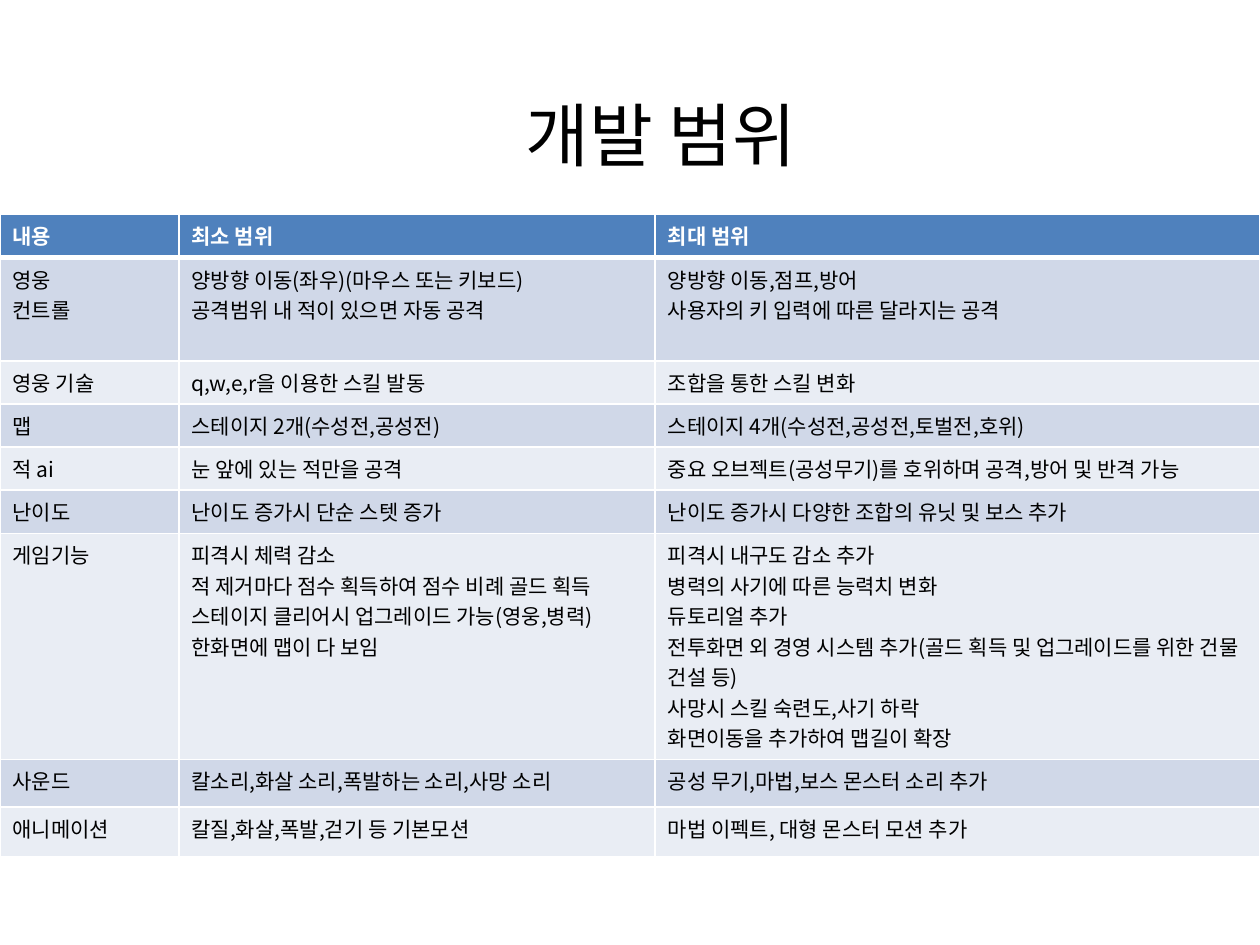
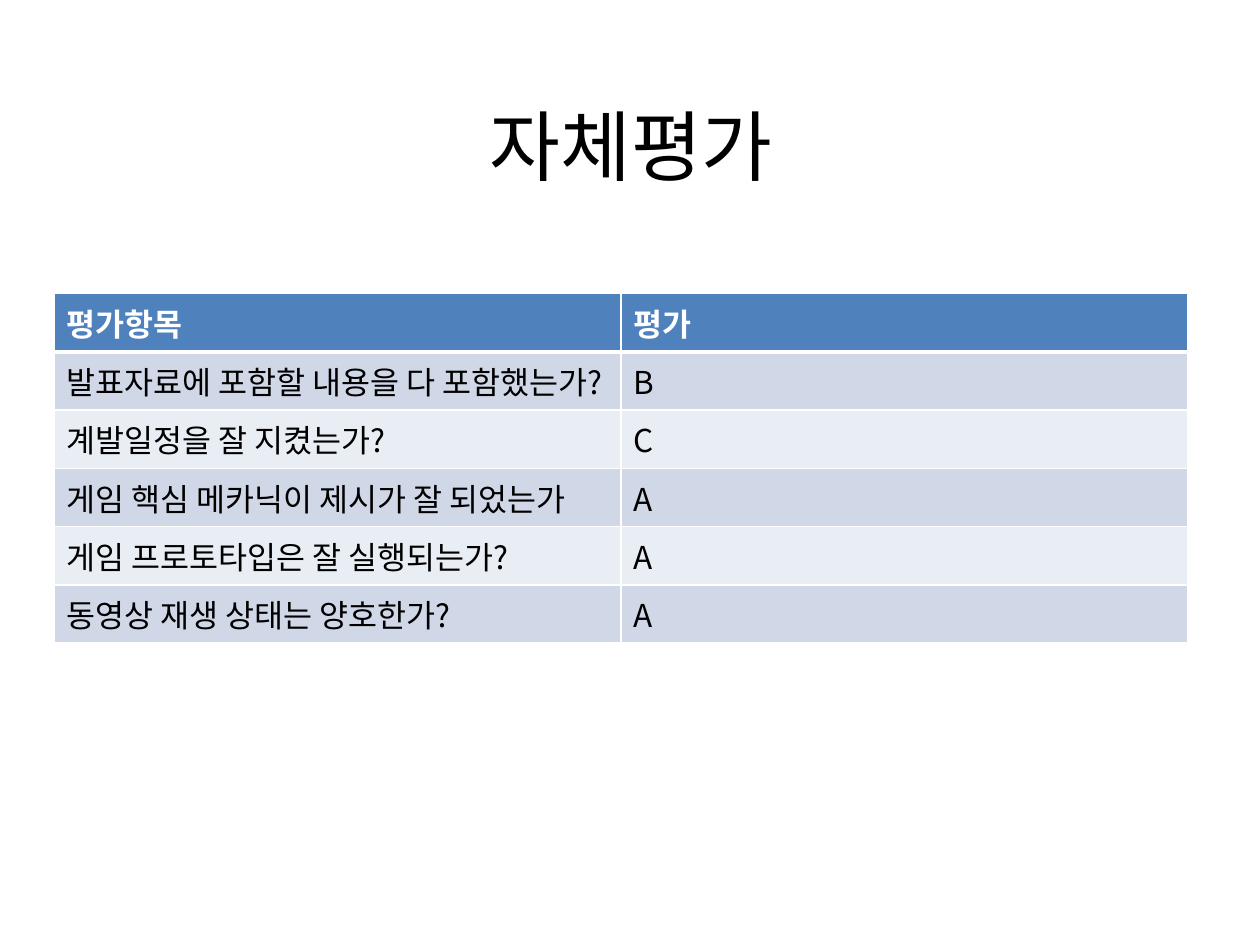
from dataclasses import dataclass

from lxml.etree import SubElement
from pptx import Presentation
from pptx.dml.color import RGBColor
from pptx.enum.text import MSO_ANCHOR, MSO_AUTO_SIZE, PP_ALIGN
from pptx.oxml.ns import qn
from pptx.util import Inches, Pt


@dataclass(frozen=True)
class Theme:
    font: str = "Noto Sans CJK KR"
    ink: str = "000000"
    paper: str = "FFFFFF"
    head: str = "4F81BD"
    bands: tuple = ("D0D8E8", "E9EDF4")
    title: float = 44
    tight: float = 39.6
    body: float = 18
    small: float = 12
    rule: float = 1
    thick: float = 3


THEME = Theme()
WIDE, HIGH = Inches(10), Inches(7.5)
TITLE_ONLY = 5

SCOPE = [
    ("내용", "최소 범위", "최대 범위"),
    ("영웅\n컨트롤",
     "양방향 이동(좌우)(마우스 또는 키보드)\n공격범위 내 적이 있으면 자동 공격",
     "양방향 이동,점프,방어\n사용자의 키 입력에 따른 달라지는 공격"),
    ("영웅 기술", "q,w,e,r을 이용한 스킬 발동", "조합을 통한 스킬 변화"),
    ("맵", "스테이지 2개(수성전,공성전)",
     "스테이지 4개(수성전,공성전,토벌전,호위)"),
    ("적 ai", "눈 앞에 있는 적만을 공격",
     "중요 오브젝트(공성무기)를 호위하며 공격,방어 및 반격 가능"),
    ("난이도", "난이도 증가시 단순 스텟 증가",
     "난이도 증가시 다양한 조합의 유닛 및 보스 추가"),
    ("게임기능",
     "피격시 체력 감소\n적 제거마다 점수 획득하여 점수 비례 골드 획득\n"
     "스테이지 클리어시 업그레이드 가능(영웅,병력)\n한화면에 맵이 다 보임",
     "피격시 내구도 감소 추가\n병력의 사기에 따른 능력치 변화\n듀토리얼 추가\n"
     "전투화면 외 경영 시스템 추가(골드 획득 및 업그레이드를 위한 건물 건설 등)\n"
     "사망시 스킬 숙련도,사기 하락\n화면이동을 추가하여 맵길이 확장"),
    ("사운드", "칼소리,화살 소리,폭발하는 소리,사망 소리",
     "공성 무기,마법,보스 몬스터 소리 추가"),
    ("애니메이션", "칼질,화살,폭발,걷기 등 기본모션",
     "마법 이펙트, 대형 몬스터 모션 추가"),
]
REVIEW = [
    ("평가항목", "평가"),
    ("발표자료에 포함할 내용을 다 포함했는가?", "B"),
    ("계발일정을 잘 지켰는가?", "C"),
    ("게임 핵심 메카닉이 제시가 잘 되었는가", "A"),
    ("게임 프로토타입은 잘 실행되는가?", "A"),
    ("동영상 재생 상태는 양호한가?", "A"),
]


def place(left, top, width, height):
    """Turn percentages of the slide into lengths."""
    return [int(share * side / 100) for share, side in
            zip((left, top, width, height), (WIDE, HIGH) * 2)]


def style(frame, size, color, bold=False, align=PP_ALIGN.LEFT):
    for para in frame.paragraphs:
        para.alignment = align
        font = para.font
        font.name, font.size, font.bold = THEME.font, Pt(size), bold
        font.color.rgb = RGBColor.from_string(color)
        props = para._p.pPr.find(qn("a:defRPr"))
        props.find(qn("a:latin")).addnext(
            SubElement(props, qn("a:ea"), typeface=THEME.font))


def add_title(slide, text, box, size):
    title = slide.shapes.title
    title.left, title.top, title.width, title.height = place(*box)
    frame = title.text_frame
    frame.text = text
    frame.auto_size = MSO_AUTO_SIZE.NONE
    frame.vertical_anchor = MSO_ANCHOR.MIDDLE
    style(frame, size, THEME.ink, align=PP_ALIGN.CENTER)


def edge(cell, row):
    """Rule all four sides, with a thick line below the header."""
    props = cell._tc.get_or_add_tcPr()
    widths = dict(L=THEME.rule, R=THEME.rule,
                  T=THEME.thick if row == 1 else THEME.rule,
                  B=THEME.thick if row == 0 else THEME.rule)
    for side, width in widths.items():
        line = SubElement(props, qn(f"a:ln{side}"), w=str(Pt(width)))
        fill = SubElement(line, qn("a:solidFill"))
        SubElement(fill, qn("a:srgbClr"), val=THEME.paper)


def add_grid(slide, data, box, cols, rows, size):
    """Fill the box with a table whose cols and rows are relative weights."""
    left, top, width, height = place(*box)
    table = slide.shapes.add_table(
        len(data), len(cols), left, top, width, height).table
    for col, part in zip(table.columns, cols):
        col.width = int(width * part / sum(cols))
    for row, part in zip(table.rows, rows):
        row.height = int(height * part / sum(rows))
    for r, texts in enumerate(data):
        shade = THEME.bands[(r - 1) % 2] if r else THEME.head
        for c, text in enumerate(texts):
            cell = table.cell(r, c)
            cell.text = text
            edge(cell, r)
            cell.fill.solid()
            cell.fill.fore_color.rgb = RGBColor.from_string(shade)
            style(cell.text_frame, size,
                  THEME.ink if r else THEME.paper, bold=r == 0)


def add_slide(deck):
    return deck.slides.add_slide(deck.slide_layouts[TITLE_ONLY])


def scope_slide(deck):
    slide = add_slide(deck)
    add_title(slide, "개발 범위", (13, 10.13, 78.9, 8.13), THEME.tight)
    rows = [0.34, 0.82] + [0.34] * 4 + [1.79, 0.38, 0.39]
    add_grid(slide, SCOPE, (0, 22.67, 100, 67.87),
             (1.42, 3.78, 4.8), rows, THEME.small)


def review_slide(deck):
    slide = add_slide(deck)
    add_title(slide, "자체평가", (5.1, 6.93, 90, 16.67), THEME.title)
    add_grid(slide, REVIEW, (4.3, 31.07, 90, 36.9),
             (1, 1), [1] * len(REVIEW), THEME.body)


def main():
    deck = Presentation()
    deck.slide_width, deck.slide_height = WIDE, HIGH
    scope_slide(deck)
    review_slide(deck)
    deck.save("out.pptx")


if __name__ == "__main__":
    main()
